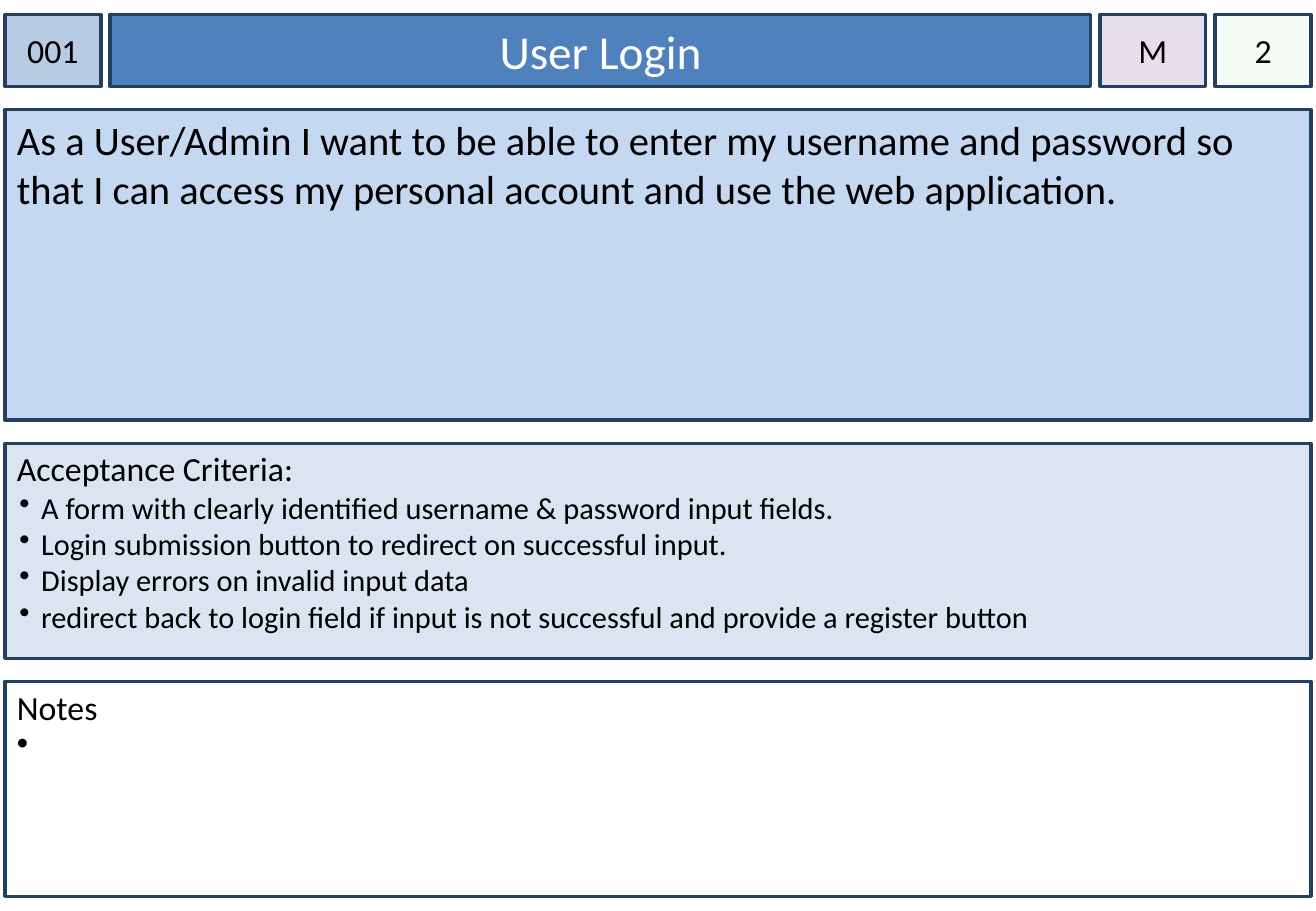
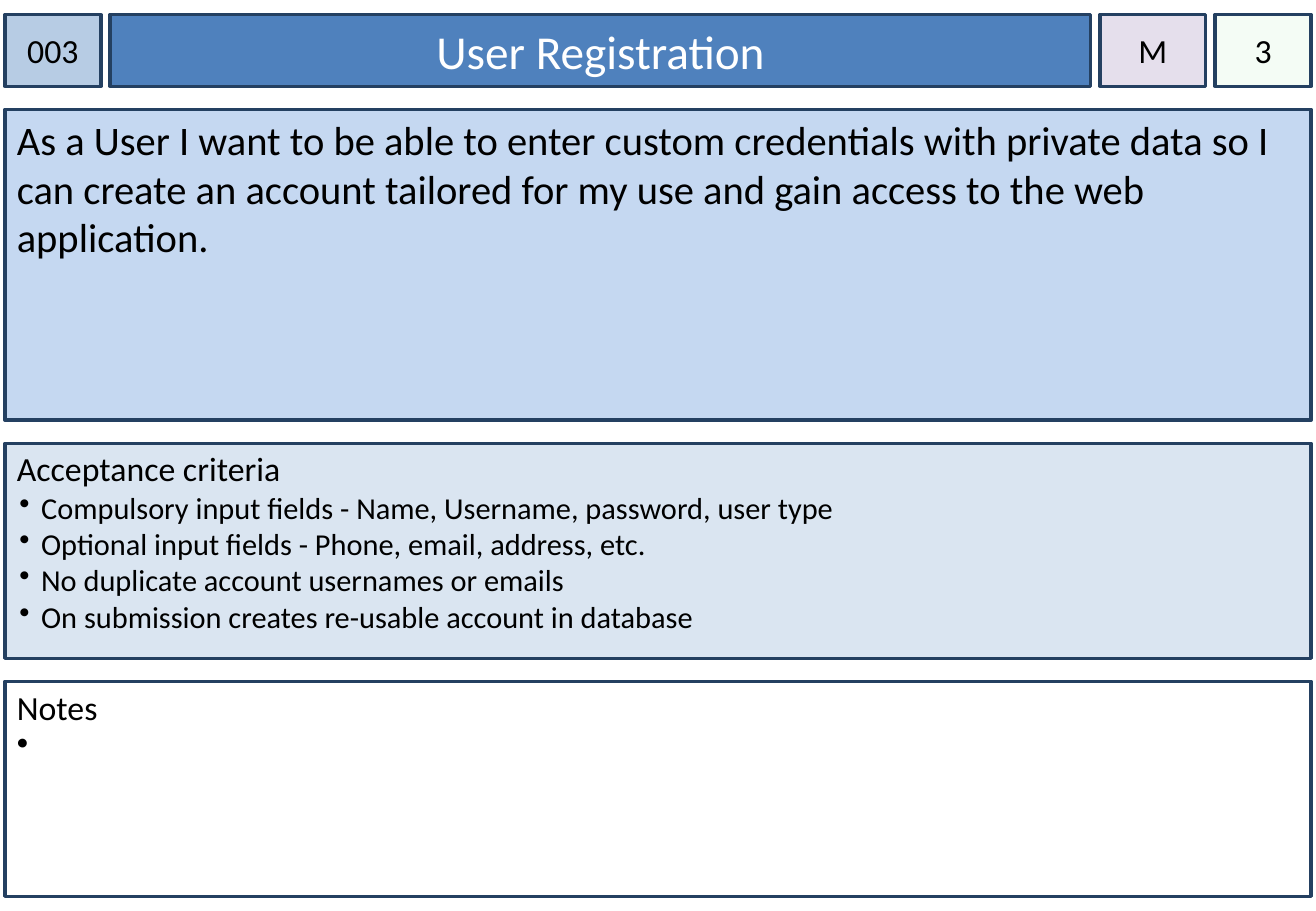
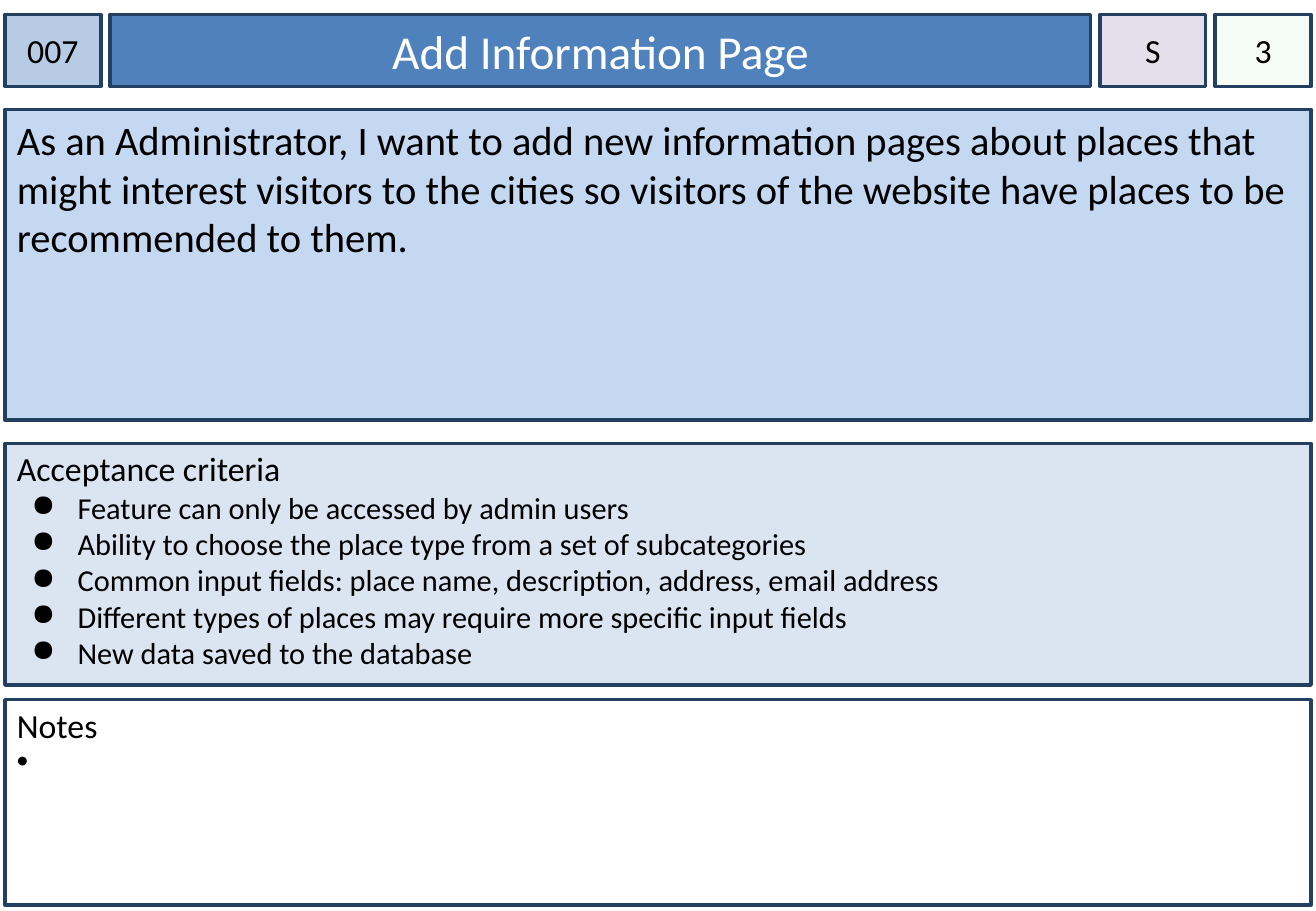
from dataclasses import dataclass
from pptx import Presentation
from pptx.dml.color import RGBColor as Rgb
from pptx.enum.shapes import MSO_SHAPE as Shape
from pptx.enum.text import MSO_ANCHOR as Anchor, PP_ALIGN as Align
from pptx.oxml.ns import qn
from pptx.oxml.xmlchemy import OxmlElement as Elem
from pptx.util import Inches, Pt


@dataclass(frozen=True)
class Theme:
    font: str = "Calibri"
    ink: str = "000000"
    white: str = "FFFFFF"
    edge: str = "244061"
    tag: str = "B7CCE4"
    bar: str = "4F81BD"
    rank: str = "E5DFEC"
    cost: str = "CCF0CD"
    story: str = "C5D8F1"
    rules: str = "DAE5F1"
    title: int = 28
    lead: int = 24
    head: int = 20
    item: int = 18
    rim: int = 2


@dataclass(frozen=True)
class Bullet:
    mark: str
    left: float
    hang: float


@dataclass(frozen=True)
class Card:
    tag: str
    title: str
    rank: str
    cost: str
    story: str
    head: str
    items: tuple
    dot: Bullet
    rules_h: float = 1.77
    memo_h: float = 1.77
    memo_gap: float = 0.19


T = Theme()
DOT = Bullet("•", 0.2, 0.18)
WIDE = Bullet("●", 0.5, 0.38)
MEMO = Bullet("•", 0.2, 0.2)
LEFT, TOP, WIDTH, GAP = 0.04, 0.12, 10.75, 0.19
HEAD_H, STORY_H = 0.59, 2.56

CARDS = (
    Card("001", "User Login", "M", "2",
         "As a User/Admin I want to be able to enter my username and password "
         "so that I can access my personal account and use the web application.",
         "Acceptance Criteria:",
         ("A form with clearly identified username & password input fields.",
          "Login submission button to redirect on successful input.",
          "Display errors on invalid input data",
          "redirect back to login field if input is not successful and "
          "provide a register button"), DOT),
    Card("003", "User Registration", "M", "3",
         "As a User I want to be able to enter custom credentials with private "
         "data so I can create an account tailored for my use and gain access "
         "to the web application.",
         "Acceptance criteria",
         ("Compulsory input fields - Name, Username, password, user type",
          "Optional input fields - Phone, email, address, etc.",
          "No duplicate account usernames or emails",
          "On submission creates re-usable account in database"), DOT),
    Card("007", "Add Information Page", "S", "3",
         "As an Administrator, I want to add new information pages about places "
         "that might interest visitors to the cities so visitors of the website "
         "have places to be recommended to them.",
         "Acceptance criteria",
         ("Feature can only be accessed by admin users",
          "Ability to choose the place type from a set of subcategories",
          "Common input fields: place name, description, address, email address",
          "Different types of places may require more specific input fields",
          "New data saved to the database"), WIDE, 1.99, 1.69, 0.12),
)


def rect(slide, box, fill, side=0.1, top=0.05, anchor=Anchor.TOP, alpha=None):
    """Add a rimmed rectangle and return its text frame."""
    shape = slide.shapes.add_shape(Shape.RECTANGLE, *map(Inches, box))
    shape.shadow.inherit = False
    shape.fill.solid()
    shape.fill.fore_color.rgb = Rgb.from_string(fill)
    if alpha is not None:
        node = Elem("a:alpha")
        node.set("val", str(alpha * 1000))
        color = shape._element.spPr.find(qn("a:solidFill")).find(qn("a:srgbClr"))
        color.append(node)
    shape.line.color.rgb = Rgb.from_string(T.edge)
    shape.line.width = Pt(T.rim)
    frame = shape.text_frame
    frame.word_wrap = True
    frame.vertical_anchor = anchor
    frame.margin_left = frame.margin_right = Inches(side)
    frame.margin_top, frame.margin_bottom = Inches(top), Inches(0.05)
    return frame


def write(para, text, size, color=T.ink, align=Align.LEFT):
    para.alignment = align
    run = para.add_run()
    run.text = text
    run.font.name = T.font
    run.font.size = Pt(size)
    run.font.color.rgb = Rgb.from_string(color)


def mark(para, dot):
    """Give a paragraph a hanging bullet."""
    props = para._p.get_or_add_pPr()
    props.set("marL", str(Inches(dot.left)))
    props.set("indent", str(-Inches(dot.hang)))
    tint, ink, char = Elem("a:buClr"), Elem("a:srgbClr"), Elem("a:buChar")
    ink.set("val", T.ink)
    tint.append(ink)
    char.set("char", dot.mark)
    props.extend((tint, char))


def header(slide, box, card):
    """Number, title, priority and points in one row with equal gaps."""
    x, y, w, h = box
    cells = (
        (0.79, card.tag, T.tag, T.head, T.ink, 0, None),
        (8.07, card.title, T.bar, T.title, T.white, 0.1, None),
        (0.87, card.rank, T.rank, T.head, T.ink, 0, None),
        (0.79, card.cost, T.cost, T.head, T.ink, 0, 20),
    )
    gap = (w - sum(cell[0] for cell in cells)) / (len(cells) - 1)
    for wide, text, fill, size, color, side, alpha in cells:
        frame = rect(slide, (x, y, wide, h), fill, side,
                     anchor=Anchor.MIDDLE, alpha=alpha)
        write(frame.paragraphs[0], text, size, color, Align.CENTER)
        x += wide + gap


def story(slide, box, text):
    write(rect(slide, box, T.story).paragraphs[0], text, T.lead)


def panel(slide, box, fill, head, items, size, dot):
    """Heading with a bullet list below it."""
    frame = rect(slide, box, fill, top=0.04)
    write(frame.paragraphs[0], head, T.head)
    for item in items:
        para = frame.add_paragraph()
        mark(para, dot)
        write(para, item, size)


def build(slide, card):
    # Header row
    y = TOP
    header(slide, (LEFT, y, WIDTH, HEAD_H), card)
    # User story
    y += HEAD_H + GAP
    story(slide, (LEFT, y, WIDTH, STORY_H), card.story)
    # Acceptance criteria
    y += STORY_H + GAP
    panel(slide, (LEFT, y, WIDTH, card.rules_h), T.rules,
          card.head, card.items, T.item, card.dot)
    # Memo panel, with one open bullet
    y += card.rules_h + card.memo_gap
    panel(slide, (LEFT, y, WIDTH, card.memo_h), T.white,
          "Notes", (" ",), T.head, MEMO)


def main():
    deck = Presentation()
    deck.slide_width, deck.slide_height = Inches(10.83), Inches(7.5)
    blank = deck.slide_layouts[6]
    for card in CARDS:
        build(deck.slides.add_slide(blank), card)
    deck.save("out.pptx")


if __name__ == "__main__":
    main()
